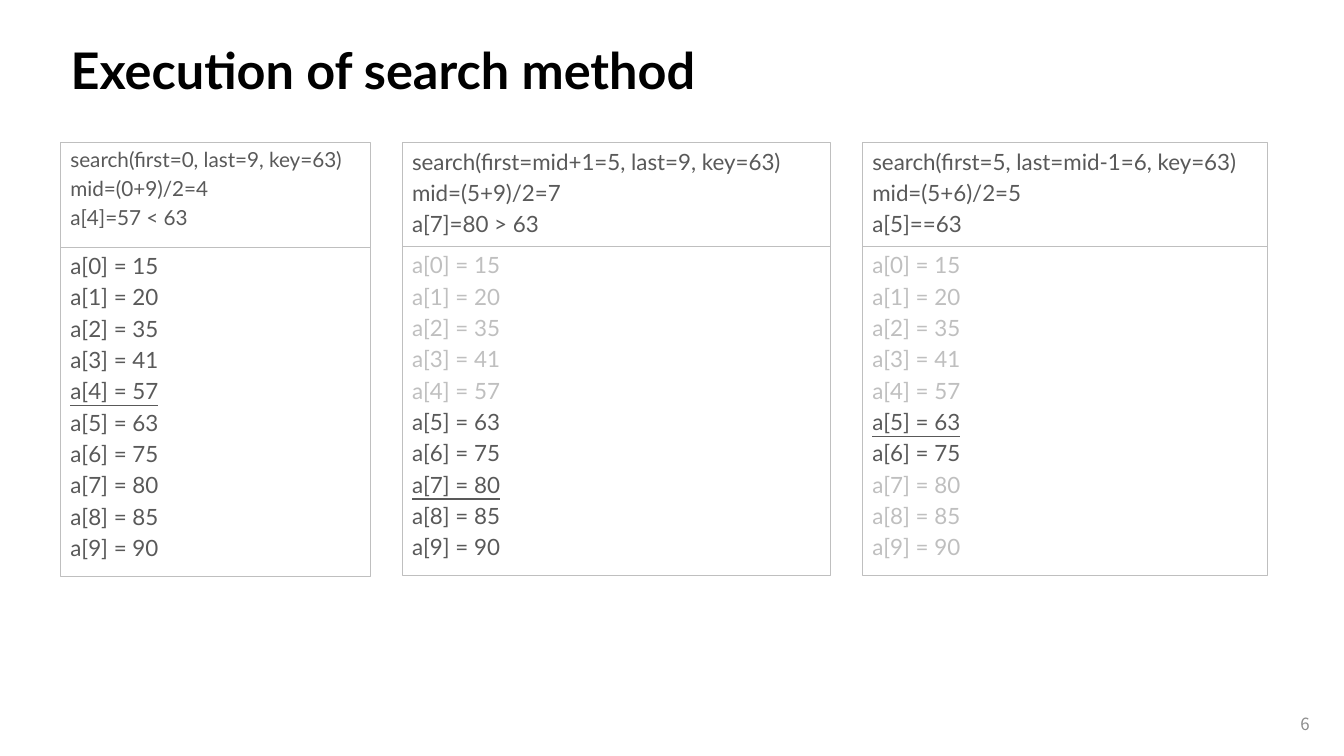
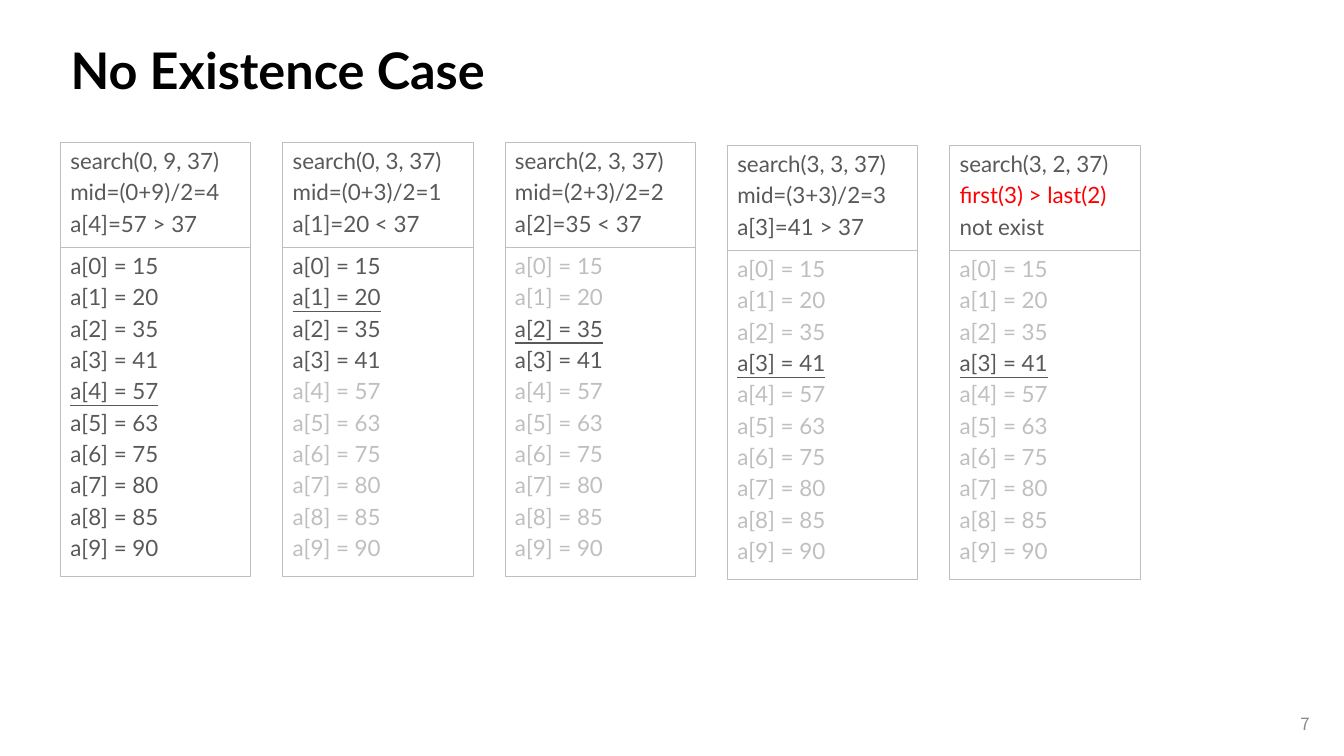
"""Builds two slides that trace a recursive binary search, call by call."""
from dataclasses import dataclass

from pptx import Presentation
from pptx.dml import color
from pptx.enum import shapes, text
from pptx.util import Pt

COLORS = {"title": "000000", "text": "595959", "faded": "BFBFBF",
          "border": "BFBFBF", "alert": "FF0000", "number": "8C8C8C"}
FONT = "Lato"
NUMBER_FONT = "Noto Sans CJK KR"
VALUES = [15, 20, 35, 41, 57, 63, 75, 80, 85, 90]
LEFT, GAP, LIST_HEIGHT = 43.2, 22.8, 235.4


@dataclass
class Call:
    """One call of the search: its heading, live index range and probed index."""
    lines: list
    first: int
    last: int
    probe: int
    width: float = 136
    top: float = 101.5
    head: float = 75
    size: float = 16
    alert: int = -1


def style(font, size, shade, name=FONT):
    """Sets the typeface, size and colour of a font."""
    font.name = name
    font.size = Pt(size)
    font.color.rgb = color.RGBColor.from_string(COLORS[shade])


def add_panel(page, left, top, width, height, lines, size):
    """Draws a bordered box whose lines are (text, colour, underlined)."""
    box = page.shapes.add_shape(shapes.MSO_SHAPE.RECTANGLE,
                                Pt(left), Pt(top), Pt(width), Pt(height))
    box.shadow.inherit = False
    box.fill.background()
    box.line.color.rgb = color.RGBColor.from_string(COLORS["border"])
    box.line.width = Pt(0.75)
    frame = box.text_frame
    frame.word_wrap = True
    frame.vertical_anchor = text.MSO_ANCHOR.TOP
    frame.text = "\n".join(line for line, _, _ in lines)
    for index, (para, (_, shade, underlined)) in enumerate(zip(frame.paragraphs, lines)):
        para.alignment = text.PP_ALIGN.LEFT
        para.space_before = Pt(round(0.2 * size, 2) if index else 0)
        span = para.runs[0]
        style(span.font, size, shade)
        if underlined:
            span.font.underline = True


def add_call(page, left, call):
    """Stacks the heading of a call on the array it searches."""
    heading = [(line, "alert" if index == call.alert else "text", False)
               for index, line in enumerate(call.lines)]
    entries = [(f"a[{index}] = {value}",
                "text" if call.first <= index <= call.last else "faded",
                index == call.probe)
               for index, value in enumerate(VALUES)]
    add_panel(page, left, call.top + call.head, call.width, LIST_HEIGHT, entries, 16)
    add_panel(page, left, call.top, call.width, call.head, heading, call.size)


def add_title(page, wording):
    """Places and formats the title placeholder."""
    title = page.shapes.title
    title.left, title.top, title.width, title.height = Pt(LEFT), Pt(21), Pt(870), Pt(57)
    frame = title.text_frame
    frame.text = wording
    frame.vertical_anchor = text.MSO_ANCHOR.MIDDLE
    para = frame.paragraphs[0]
    para.alignment = text.PP_ALIGN.LEFT
    style(para.runs[0].font, 36, "title")
    para.runs[0].font.bold = True


def add_number(page, number):
    """Writes the slide number at the lower right."""
    box = page.shapes.add_textbox(Pt(913), Pt(502.5), Pt(29.5), Pt(29))
    frame = box.text_frame
    frame.word_wrap = True
    frame.vertical_anchor = text.MSO_ANCHOR.MIDDLE
    frame.text = str(number)
    para = frame.paragraphs[0]
    para.alignment = text.PP_ALIGN.RIGHT
    style(para.runs[0].font, 12, "number", NUMBER_FONT)


def add_trace_slide(deck, wording, number, calls):
    """Adds a slide with the calls in a row, separated by equal gaps."""
    page = deck.slides.add_slide(deck.slide_layouts[5])
    add_title(page, wording)
    add_number(page, number)
    left = LEFT
    for call in calls:
        add_call(page, left, call)
        left += call.width + GAP


FOUND = [
    Call(["search(first=0, last=9, key=63)", "mid=(0+9)/2=4", "a[4]=57 < 63"],
         0, 9, 4, width=221.2, size=14.8),
    Call(["search(first=mid+1=5, last=9, key=63)", "mid=(5+9)/2=7", "a[7]=80 > 63"],
         5, 9, 7, width=306, top=102, head=74),
    Call(["search(first=5, last=mid-1=6, key=63)", "mid=(5+6)/2=5", "a[5]==63"],
         5, 6, 5, width=289.4, top=102, head=74),
]
MISSING = [
    Call(["search(0, 9, 37)", "mid=(0+9)/2=4", "a[4]=57 > 37"], 0, 9, 4),
    Call(["search(0, 3, 37)", "mid=(0+3)/2=1", "a[1]=20 < 37"], 0, 3, 1),
    Call(["search(2, 3, 37)", "mid=(2+3)/2=2", "a[2]=35 < 37"], 2, 3, 2),
    Call(["search(3, 3, 37)", "mid=(3+3)/2=3", "a[3]=41 > 37"], 3, 3, 3, top=103.7),
    Call(["search(3, 2, 37)", "first(3) > last(2)", "not exist"], 3, 3, 3,
         top=103.7, alert=1),
]


def main():
    """Builds and saves the deck."""
    deck = Presentation()
    deck.slide_width, deck.slide_height = Pt(960), Pt(540)
    add_trace_slide(deck, "Execution of search method", 6, FOUND)
    add_trace_slide(deck, "No Existence Case", 7, MISSING)
    deck.save("out.pptx")


if __name__ == "__main__":
    main()
